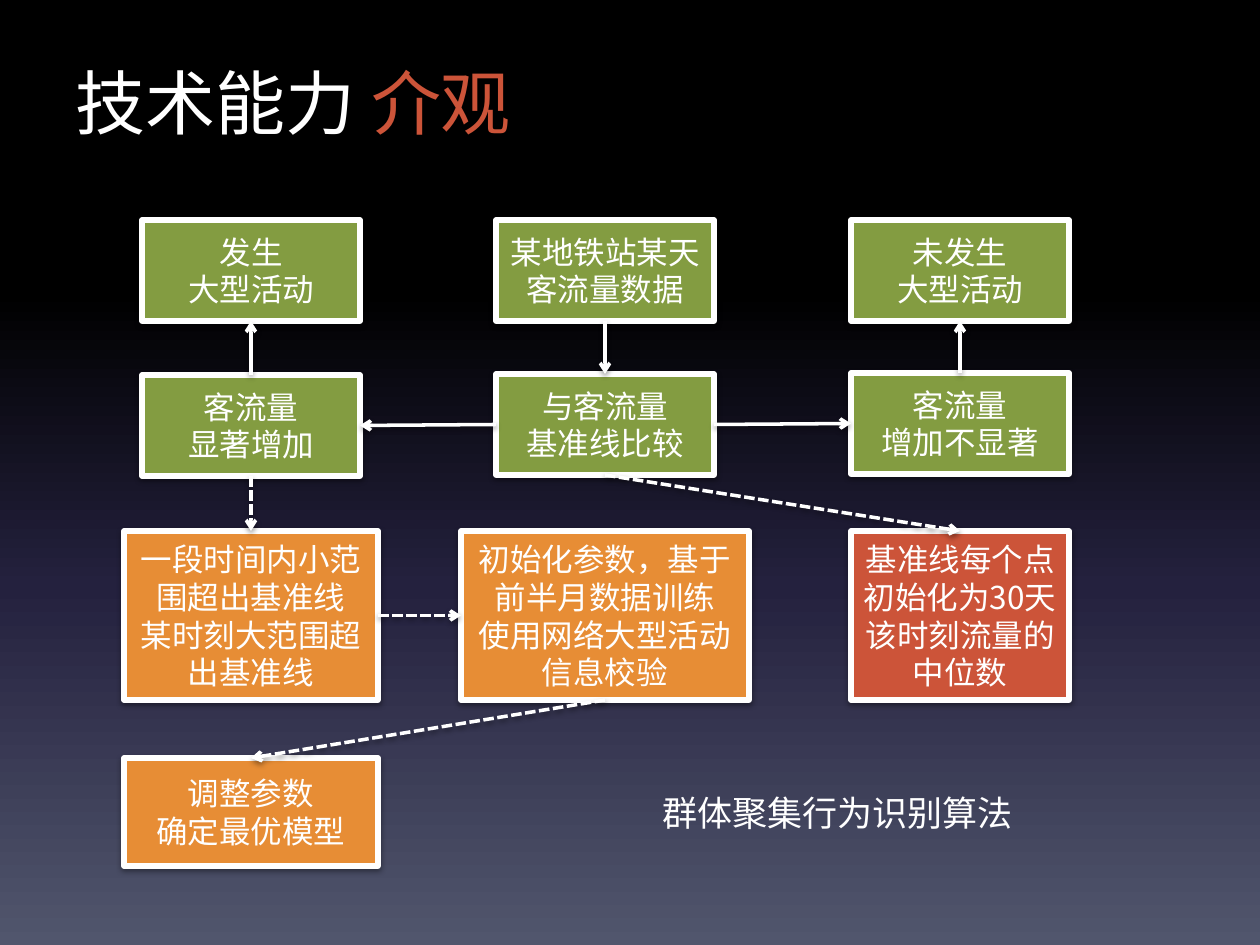
import lxml.etree
import pptx
import pptx.dml.color
import pptx.enum.dml
import pptx.enum.shapes
import pptx.enum.text
import pptx.oxml
import pptx.oxml.ns
import pptx.util

PX_PER_INCH = 126
WHITE = pptx.dml.color.RGBColor(0xFF, 0xFF, 0xFF)
BLACK = pptx.dml.color.RGBColor(0x00, 0x00, 0x00)
NAVY = pptx.dml.color.RGBColor(0x24, 0x21, 0x3E)
SLATE = pptx.dml.color.RGBColor(0x51, 0x56, 0x6D)
GREEN = pptx.dml.color.RGBColor(0x83, 0x9C, 0x41)
ORANGE = pptx.dml.color.RGBColor(0xE7, 0x8D, 0x35)
RED = pptx.dml.color.RGBColor(0xCC, 0x54, 0x39)

BODY_FONT = "Calibri"
TITLE_FONT = "Noto Sans CJK JP"
DIGIT_FONT = "Noto Sans CJK SC"

BACKGROUND_STOPS = ((0, BLACK), (31, BLACK), (62, NAVY), (100, SLATE))
TOP, BOTTOM, LEFT, RIGHT = 0, 2, 1, 3
COLUMNS = (251, 605, 960)
SMALL, WIDE, WIDEST = 218, 254, 288

# name: (centre x, top, width, height, colour, paragraphs of (text, font) runs)
BOXES = {
    "data": (COLUMNS[1], 220, SMALL, 101, GREEN, ["某地铁站某天客流量数据"]),
    "compare": (COLUMNS[1], 374, SMALL, 101, GREEN, ["与客流量", "基准线比较"]),
    "no rise": (COLUMNS[2], 373, SMALL, 101, GREEN, ["客流量", "增加不显著"]),
    "rise": (COLUMNS[0], 375, SMALL, 101, GREEN, ["客流量", "显著增加"]),
    "event": (COLUMNS[0], 220, SMALL, 101, GREEN, ["发生", "大型活动"]),
    "no event": (COLUMNS[2], 220, SMALL, 101, GREEN, ["未发生", "大型活动"]),
    "baseline": (COLUMNS[2], 531, SMALL, 169, RED,
                 [[("基准线每个点初始化为", BODY_FONT), ("30", DIGIT_FONT),
                   ("天该时刻流量的中位数", BODY_FONT)]]),
    "criteria": (COLUMNS[0], 531, WIDE, 169, ORANGE,
                 ["一段时间内小范围超出基准线", "某时刻大范围超出基准线"]),
    "training": (COLUMNS[1], 531, WIDEST, 169, ORANGE,
                 ["初始化参数，基于前半月数据训练", "使用网络大型活动信息校验"]),
    "tuning": (COLUMNS[0], 758, WIDE, 108, ORANGE, ["调整参数", "确定最优模型"]),
}

# (from box, side, to box, side, dashed)
ARROWS = (
    ("data", BOTTOM, "compare", TOP, False),
    ("compare", RIGHT, "no rise", LEFT, False),
    ("compare", LEFT, "rise", RIGHT, False),
    ("rise", TOP, "event", BOTTOM, False),
    ("no rise", TOP, "no event", BOTTOM, False),
    ("rise", BOTTOM, "criteria", TOP, True),
    ("criteria", RIGHT, "training", LEFT, True),
    ("training", BOTTOM, "tuning", TOP, True),
    ("compare", BOTTOM, "baseline", TOP, True),
)


def px(length):
    return pptx.util.Emu(round(length * 914400 / PX_PER_INCH))


def apply(target, values):
    for name, value in values.items():
        setattr(target, name, value)


def add_span(para, text, font, size, color):
    span = para.add_run()
    span.text = text
    apply(span.font, {"name": font, "size": pptx.util.Pt(size)})
    span.font.color.rgb = color
    east_asian = lxml.etree.SubElement(
        span.font._element, pptx.oxml.ns.qn("a:ea"))
    east_asian.set("typeface", font)


def add_shadow(shape):
    """Put a soft shadow straight below a box or an arrow."""
    properties = shape._element.spPr
    for old in properties.findall(pptx.oxml.ns.qn("a:effectLst")):
        properties.remove(old)
    properties.append(pptx.oxml.parse_xml(
        f'<a:effectLst {pptx.oxml.ns.nsdecls("a")}>'
        '<a:outerShdw blurRad="40000" dist="20000" dir="5400000" rotWithShape="0">'
        '<a:srgbClr val="000000"><a:alpha val="38000"/></a:srgbClr>'
        '</a:outerShdw></a:effectLst>'))


def paint_background(slide):
    fill = slide.background.fill
    fill.gradient()
    fill.gradient_angle = 270
    stops = next(slide._element.iter(pptx.oxml.ns.qn("a:gsLst")))
    for old in list(stops):
        stops.remove(old)
    for percent, color in BACKGROUND_STOPS:
        stop = lxml.etree.SubElement(
            stops, pptx.oxml.ns.qn("a:gs"), pos=str(percent * 1000))
        lxml.etree.SubElement(
            stop, pptx.oxml.ns.qn("a:srgbClr"), val=str(color))


def fill_title(title):
    apply(title, {"left": px(63), "top": px(63),
                  "width": px(1134), "height": px(157)})
    apply(title.text_frame, {
        "vertical_anchor": pptx.enum.text.MSO_ANCHOR.TOP,
        "auto_size": pptx.enum.text.MSO_AUTO_SIZE.NONE,
        "word_wrap": True})
    para = title.text_frame.paragraphs[0]
    apply(para, {"alignment": pptx.enum.text.PP_ALIGN.LEFT,
                 "line_spacing": 0.9})
    add_span(para, "技术能力 ", TITLE_FONT, 40, WHITE)
    add_span(para, "介观", TITLE_FONT, 40, RED)


def add_box(slide, centre, top, width, height, color, paragraphs):
    box = slide.shapes.add_shape(
        pptx.enum.shapes.MSO_SHAPE.RECTANGLE,
        px(centre - width / 2), px(top), px(width), px(height))
    box.fill.solid()
    box.fill.fore_color.rgb = color
    box.line.color.rgb = WHITE
    box.line.width = pptx.util.Pt(3)
    add_shadow(box)
    frame = box.text_frame
    apply(frame, {"word_wrap": True,
                  "vertical_anchor": pptx.enum.text.MSO_ANCHOR.MIDDLE})
    for index, content in enumerate(paragraphs):
        para = frame.add_paragraph() if index else frame.paragraphs[0]
        para.alignment = pptx.enum.text.PP_ALIGN.CENTER
        runs = [(content, BODY_FONT)] if isinstance(content, str) else content
        for text, font in runs:
            add_span(para, text, font, 18, WHITE)
    return box


def add_arrow(slide, start, start_side, end, end_side, dashed):
    arrow = slide.shapes.add_connector(
        pptx.enum.shapes.MSO_CONNECTOR.STRAIGHT, 0, 0, 0, 0)
    arrow.begin_connect(start, start_side)
    arrow.end_connect(end, end_side)
    arrow.line.color.rgb = WHITE
    arrow.line.width = pptx.util.Pt(2)
    if dashed:
        arrow.line.dash_style = pptx.enum.dml.MSO_LINE.SQUARE_DOT
    lxml.etree.SubElement(
        arrow.line._get_or_add_ln(), pptx.oxml.ns.qn("a:tailEnd"), type="arrow")
    add_shadow(arrow)


def add_caption(slide, text):
    caption = slide.shapes.add_textbox(px(650), px(785), px(379), px(55))
    apply(caption.text_frame, {
        "word_wrap": False,
        "auto_size": pptx.enum.text.MSO_AUTO_SIZE.SHAPE_TO_FIT_TEXT})
    add_span(caption.text_frame.paragraphs[0], text, BODY_FONT, 20, WHITE)


def main():
    deck = pptx.Presentation()
    apply(deck, {"slide_width": px(1260), "slide_height": px(945)})
    slide = deck.slides.add_slide(deck.slide_layouts[5])
    paint_background(slide)
    fill_title(slide.shapes.title)
    boxes = {name: add_box(slide, *values) for name, values in BOXES.items()}
    for start, start_side, end, end_side, dashed in ARROWS:
        add_arrow(slide, boxes[start], start_side, boxes[end], end_side, dashed)
    add_caption(slide, "群体聚集行为识别算法")
    deck.save("out.pptx")


if __name__ == "__main__":
    main()
